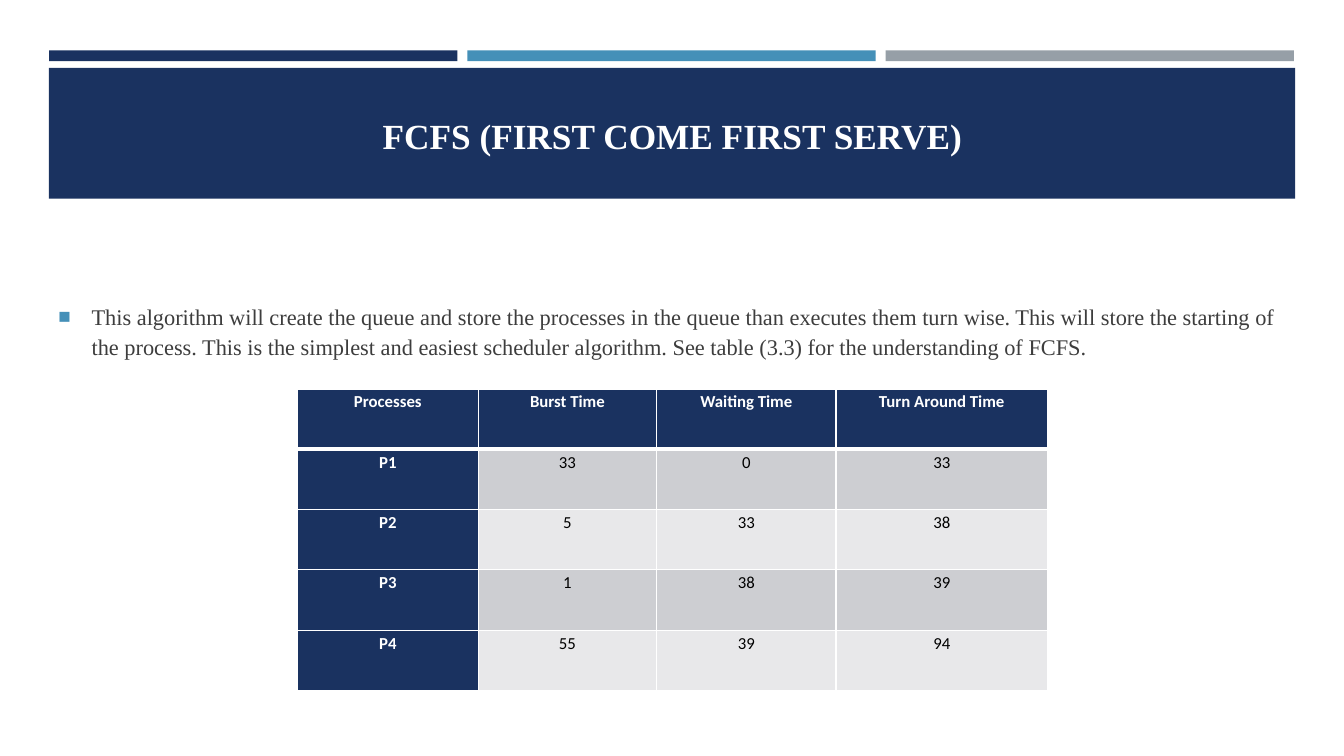
from dataclasses import dataclass

from lxml.etree import SubElement
from pptx import Presentation
from pptx.dml.color import RGBColor
from pptx.enum.shapes import MSO_SHAPE
from pptx.enum.text import MSO_ANCHOR, MSO_AUTO_SIZE, PP_ALIGN
from pptx.oxml.ns import qn
from pptx.slide import Slide
from pptx.table import _Cell
from pptx.util import Cm, Pt

NAVY, BLUE, GREY, WHITE = "1A3260", "4590B8", "969FA7", "FFFFFF"
BLACK, BODY_COLOUR = "000000", "3D3D3D"
ROW_FILLS = ("CDCED2", "E8E8EA")
SERIF, SANS = "Times New Roman", "Calibri"

TITLE = "FCFS (FIRST COME FIRST SERVE)"
DESCRIPTION = (
    "This algorithm will create the queue and store the processes in the queue "
    "than executes them turn wise. This will store the starting of the process. "
    "This is the simplest and easiest scheduler algorithm. "
    "See table (3.3) for the understanding of FCFS."
)
SCHEDULE = (
    ("Processes", "Burst Time", "Waiting Time", "Turn Around Time"),
    ("P1", "33", "0", "33"),
    ("P2", "5", "33", "38"),
    ("P3", "1", "38", "39"),
    ("P4", "55", "39", "94"),
)
COLUMN_WIDTHS = (4.55, 4.5, 4.52, 5.33)
ROW_HEIGHT = 1.52
BAR_PITCH = 10.54


@dataclass
class Band:
    left: float
    top: float
    width: float
    height: float
    colour: str


def rgb(colour: str) -> RGBColor:
    return RGBColor.from_string(colour)


def set_font(font, name: str, size: float, colour: str, bold: bool = False) -> None:
    font.name = name
    font.size = Pt(size)
    font.bold = bold
    font.color.rgb = rgb(colour)


def add_band(slide: Slide, band: Band) -> None:
    shape = slide.shapes.add_shape(
        MSO_SHAPE.RECTANGLE, Cm(band.left), Cm(band.top), Cm(band.width), Cm(band.height)
    )
    shape.shadow.inherit = False
    shape.fill.solid()
    shape.fill.fore_color.rgb = rgb(band.colour)
    shape.line.fill.background()


def format_title(slide: Slide) -> None:
    title = slide.shapes.title
    title.left, title.top, title.width, title.height = Cm(1.63), Cm(1.96), Cm(30.63), Cm(3.12)
    frame = title.text_frame
    frame.text = TITLE
    frame.auto_size = MSO_AUTO_SIZE.NONE
    frame.vertical_anchor = MSO_ANCHOR.MIDDLE
    frame.margin_top, frame.margin_bottom = Cm(0), Cm(0.23)
    paragraph = frame.paragraphs[0]
    paragraph.alignment = PP_ALIGN.CENTER
    set_font(paragraph.font, SERIF, 25.2, WHITE, bold=True)
    # Bring the title in front of its band
    title.element.getparent().append(title.element)


def add_description(slide: Slide) -> None:
    box = slide.shapes.add_textbox(Cm(1.22), Cm(5.08), Cm(31.4), Cm(12.34))
    frame = box.text_frame
    frame.word_wrap = True
    frame.margin_top = Cm(2.5)
    paragraph = frame.paragraphs[0]
    paragraph.text = DESCRIPTION
    paragraph.line_spacing = 1.1
    set_font(paragraph.font, SERIF, 16, BODY_COLOUR)

    # Square bullet with a hanging indent
    properties = paragraph._p.get_or_add_pPr()
    properties.set("marL", str(Cm(0.84)))
    properties.set("indent", str(-Cm(0.84)))
    bullet_colour = SubElement(properties, qn("a:buClr"))
    SubElement(bullet_colour, qn("a:srgbClr"), val=BLUE)
    SubElement(properties, qn("a:buSzPct"), val="92000")
    SubElement(properties, qn("a:buFont"), typeface="Arial")
    SubElement(properties, qn("a:buChar"), char="■")


def add_borders(cell: _Cell, top: float, bottom: float) -> None:
    properties = cell._tc.get_or_add_tcPr()
    for side, width in (("lnL", 1), ("lnR", 1), ("lnT", top), ("lnB", bottom)):
        line = SubElement(properties, qn(f"a:{side}"), w=str(Pt(width)))
        fill = SubElement(line, qn("a:solidFill"))
        SubElement(fill, qn("a:srgbClr"), val=WHITE)


def format_cell(cell: _Cell, text: str, row: int, column: int) -> None:
    is_heading = row == 0 or column == 0
    add_borders(cell, top=3 if row == 1 else 1, bottom=3 if row == 0 else 1)
    cell.fill.solid()
    cell.fill.fore_color.rgb = rgb(NAVY if is_heading else ROW_FILLS[(row - 1) % 2])
    cell.margin_left = cell.margin_right = Cm(0.18)
    cell.margin_top = cell.margin_bottom = Cm(0)
    cell.text = text
    paragraph = cell.text_frame.paragraphs[0]
    paragraph.alignment = PP_ALIGN.CENTER
    paragraph.line_spacing = 1.15
    paragraph.space_after = Pt(10)
    set_font(paragraph.font, SANS, 12, WHITE if is_heading else BLACK, bold=is_heading)


def add_schedule(slide: Slide) -> None:
    table = slide.shapes.add_table(
        len(SCHEDULE), len(COLUMN_WIDTHS), Cm(7.5), Cm(9.8),
        Cm(sum(COLUMN_WIDTHS)), Cm(ROW_HEIGHT * len(SCHEDULE)),
    ).table
    for column, width in zip(table.columns, COLUMN_WIDTHS):
        column.width = Cm(width)
    for row, texts in enumerate(SCHEDULE):
        table.rows[row].height = Cm(ROW_HEIGHT)
        for column, text in enumerate(texts):
            format_cell(table.cell(row, column), text, row, column)


def main() -> None:
    presentation = Presentation()
    presentation.slide_width, presentation.slide_height = Cm(33.87), Cm(19.05)
    slide = presentation.slides.add_slide(presentation.slide_layouts[5])

    # Coloured bars and title band
    for index, colour in enumerate((NAVY, BLUE, GREY)):
        add_band(slide, Band(1.24 + index * BAR_PITCH, 1.27, 10.29, 0.27, colour))
    add_band(slide, Band(1.23, 1.71, 31.41, 3.3, NAVY))

    # Content
    format_title(slide)
    add_description(slide)
    add_schedule(slide)
    presentation.save("out.pptx")


if __name__ == "__main__":
    main()
